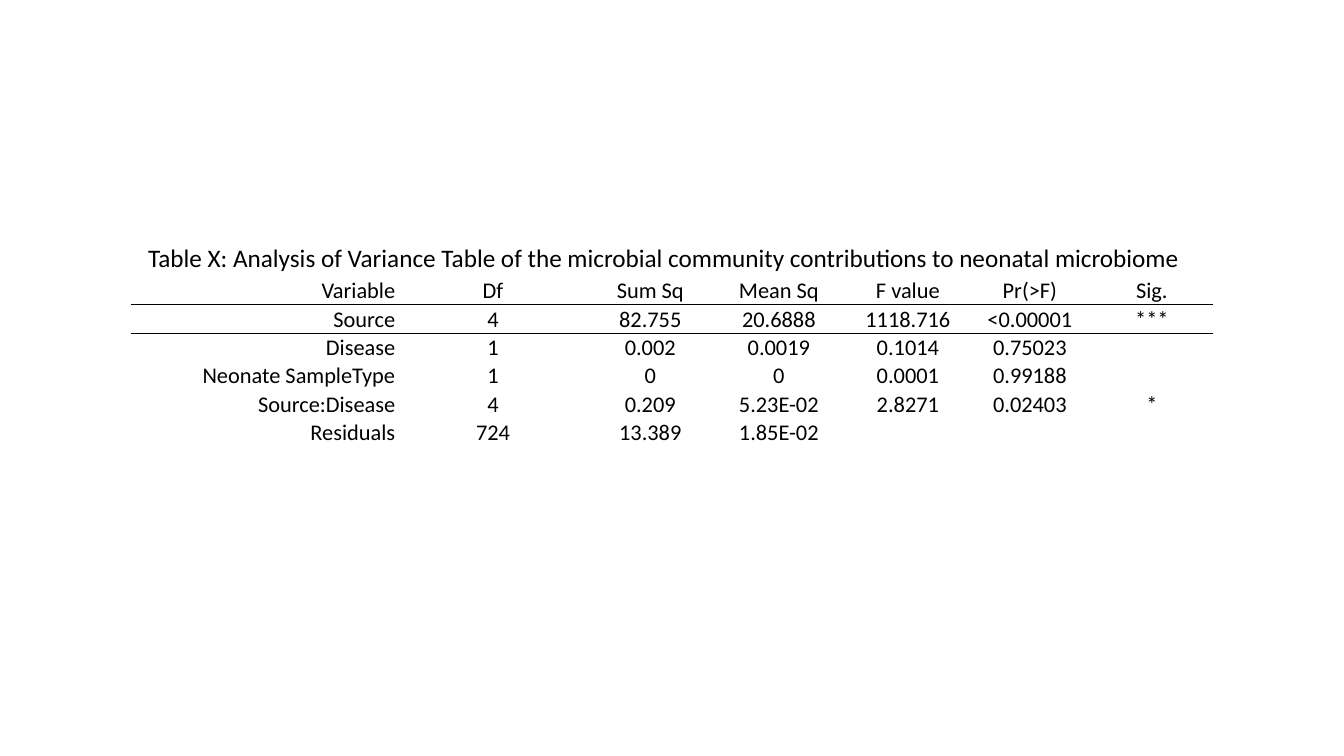
from pptx import Presentation
from pptx.dml.color import RGBColor
from pptx.enum.text import MSO_ANCHOR as Anchor, MSO_AUTO_SIZE as Fit, PP_ALIGN as Align
from pptx.oxml import parse_xml
from pptx.oxml.ns import nsdecls
from pptx.util import Inches, Pt

BLACK = RGBColor(0, 0, 0)
PLAIN = "{2D5ABB26-0587-4C30-8999-92F81FD0307C}"
TITLE = ("Table X: Analysis of Variance Table of the microbial "
         "community contributions to neonatal microbiome")
WIDTHS = [2.63, 1.92, 1.2, 1.35, 1.21, 1.21, 1.21]
ROWS = [
    ["Variable", "Df", "Sum Sq", "Mean Sq", "F value", "Pr(>F)", "Sig."],
    ["Source", "4", "82.755", "20.6888", "1118.716", "<0.00001", "***"],
    ["Disease", "1", "0.002", "0.0019", "0.1014", "0.75023", ""],
    ["Neonate SampleType", "1", "0", "0", "0.0001", "0.99188", ""],
    ["Source:Disease", "4", "0.209", "5.23E-02", "2.8271", "0.02403", "*"],
    ["Residuals", "724", "13.389", "1.85E-02", "", "", ""],
]


def write(frame, text, size=16, align=Align.CENTER, font="Calibri", color=BLACK):
    """Fill a text frame with one formatted paragraph."""
    para = frame.paragraphs[0]
    para.alignment = align
    if not text:
        para._p.append(parse_xml(f'<a:endParaRPr {nsdecls("a")} sz="{size * 100}"/>'))
        return
    run = para.add_run()
    run.text = text
    run.font.size = Pt(size)
    run.font.name = font
    run.font.color.rgb = color


class Page:
    """Hold the rule style and the current slide."""

    def __init__(self, slide, rule=0.5, color=BLACK):
        self.slide, self.rule, self.color = slide, rule, color

    def title(self, text, left, top, width, height):
        """Add a justified caption."""
        box = self.slide.shapes.add_textbox(*map(Inches, (left, top, width, height)))
        frame = box.text_frame
        frame.word_wrap = True
        frame.auto_size = Fit.SHAPE_TO_FIT_TEXT
        write(frame, text, size=18, align=Align.JUSTIFY)

    def edge(self, cell, side):
        """Draw one border of a cell."""
        cell._tc.get_or_add_tcPr().insert(0, parse_xml(
            f'<a:{side} {nsdecls("a")} w="{Pt(self.rule)}"><a:solidFill>'
            f'<a:srgbClr val="{self.color}"/></a:solidFill></a:{side}>'))

    def table(self, rows, widths, left, top, height):
        """Add an unfilled table with a rule below its header."""
        size = map(Inches, (left, top, sum(widths), height * len(rows)))
        table = self.slide.shapes.add_table(len(rows), len(widths), *size).table
        table.first_row = table.horz_banding = False
        table._tbl.tblPr.find("{*}tableStyleId").text = PLAIN
        for col, width in zip(table.columns, widths):
            col.width = Inches(width)
        for r, row in enumerate(rows):
            table.rows[r].height = Inches(height)
            for c, text in enumerate(row):
                cell = table.cell(r, c)
                cell.fill.background()
                cell.margin_left = cell.margin_right = cell.margin_top = Inches(0.01)
                cell.margin_bottom = 0
                cell.vertical_anchor = Anchor.MIDDLE if c else Anchor.BOTTOM
                write(cell.text_frame, text, align=Align.CENTER if c else Align.RIGHT)
                if r < 2:
                    self.edge(cell, "lnT" if r else "lnB")


deck = Presentation()
deck.slide_width, deck.slide_height = Inches(13.33), Inches(7.5)
page = Page(deck.slides.add_slide(deck.slide_layouts[6]))
page.table(ROWS, WIDTHS, 1.3, 2.74, 0.28)
page.title(TITLE, 1.37, 2.36, 10.6, 0.4)
deck.save("out.pptx")
